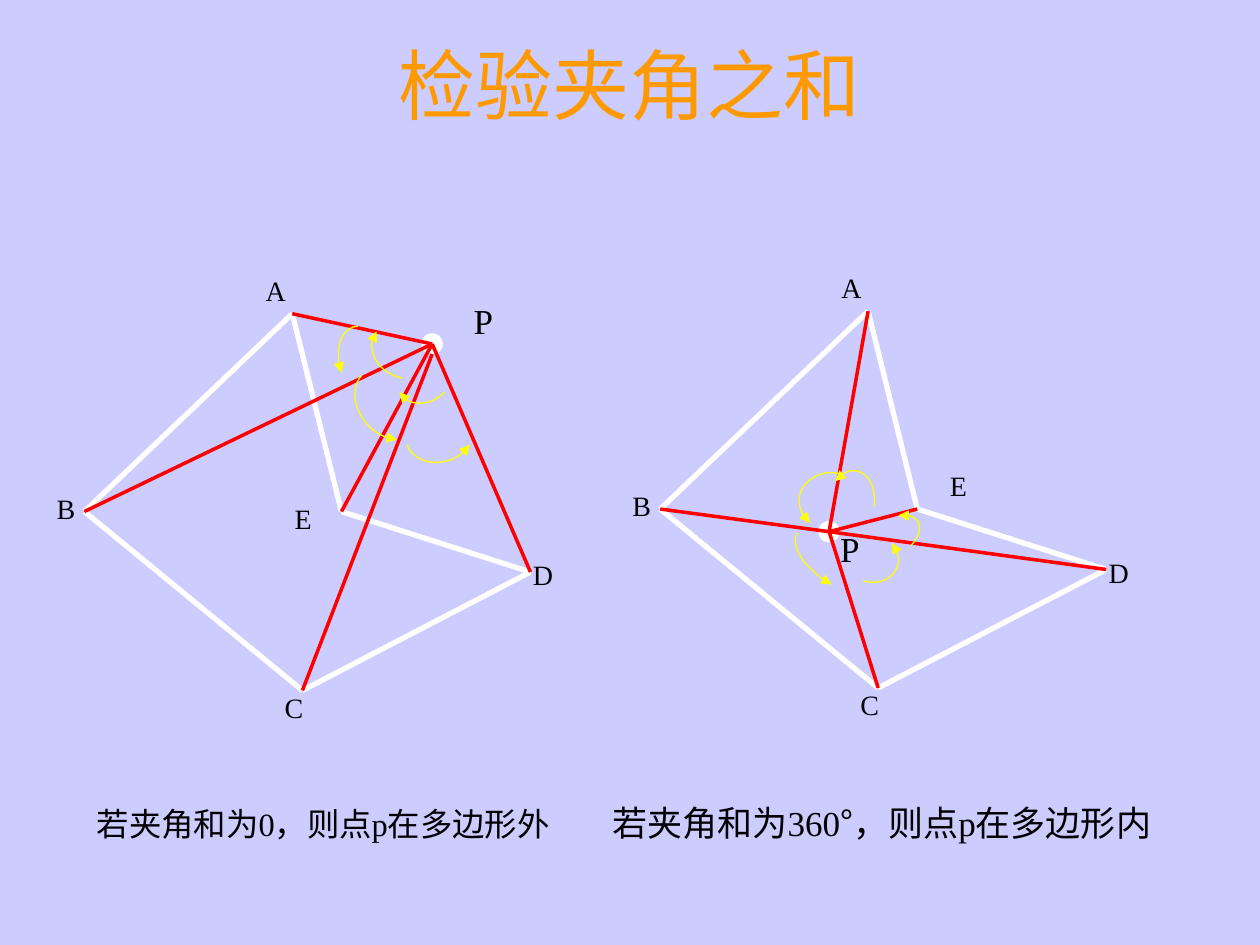
from lxml.etree import SubElement
from pptx import Presentation
from pptx.dml.color import RGBColor
from pptx.enum.shapes import MSO_CONNECTOR, MSO_SHAPE
from pptx.enum.text import MSO_ANCHOR, PP_ALIGN
from pptx.oxml.ns import qn
from pptx.util import Inches, Pt

LAVENDER = RGBColor(0xCC, 0xCC, 0xFF)
ORANGE = RGBColor(0xFF, 0x99, 0x00)
WHITE = RGBColor(0xFF, 0xFF, 0xFF)
RED = RGBColor(0xFF, 0x00, 0x00)
YELLOW = RGBColor(0xFF, 0xFF, 0x00)
BLACK = RGBColor(0x00, 0x00, 0x00)

# The slide is a grid of 100 columns by 75 rows of square cells
CELL = Inches(0.1)
CURVE_STEPS = 10


def add_text(shapes, text, left, top, width, height, size, color=BLACK,
             align=PP_ALIGN.LEFT, anchor=MSO_ANCHOR.TOP, spacing=None):
    box = shapes.add_textbox(*(round(n * CELL) for n in (left, top, width, height)))
    frame = box.text_frame
    frame.word_wrap = True
    frame.vertical_anchor = anchor
    paragraph = frame.paragraphs[0]
    paragraph.alignment = align
    paragraph.line_spacing = spacing
    for piece in filter(None, text.partition("°")):
        run = paragraph.add_run()
        run.text = piece
        run.font.name = "Noto Sans CJK SC" if piece == "°" else "Times New Roman"
        run.font.size = Pt(size)
        run.font.color.rgb = color


def add_line(shapes, start, end, color, width):
    line = shapes.add_connector(MSO_CONNECTOR.STRAIGHT,
                                *(round(n * CELL) for n in (*start, *end)))
    line.line.color.rgb = color
    line.line.width = Pt(width)
    SubElement(line.element.spPr, qn("a:effectLst"))


prs = Presentation()
prs.slide_width, prs.slide_height = 100 * CELL, 75 * CELL
slide = prs.slides.add_slide(prs.slide_layouts[6])
slide.background.fill.solid()
slide.background.fill.fore_color.rgb = LAVENDER

# Title and captions
add_text(slide.shapes, "检验夹角之和", 7.5, 2.5, 85, 8.3, 44, ORANGE,
         PP_ALIGN.CENTER, MSO_ANCHOR.MIDDLE)
add_text(slide.shapes, "若夹角和为0，则点p在多边形外", 6.7, 63.3, 42.9, 5.6, 18.5)
add_text(slide.shapes, "若夹角和为360°，则点p在多边形内", 47.6, 63.5, 48.8, 5.6, 20,
         spacing=0.9)

# Polygon shared by both figures, and the corners of its labels
polygon = {"A": (23.2, 24.9), "B": (6.7, 40.6), "C": (24, 54.8),
           "D": (42.1, 45.4), "E": (27.1, 40.6)}
label_corners = {"A": (20.1, 21.2), "B": (3.5, 38.5), "C": (21.6, 54.3),
                 "D": (41.3, 43.8)}

# Each angle arc is two joined Bezier curves, ending at its arrowhead
outside = {
    "shift": (0, 0), "p": (34.3, 27.3), "ray_drop": {"C": 0.8},
    "e_label": (22.4, 39.3), "p_label": (36.6, 23.3),
    "arcs": [
        [(28.4, 25.9), (27.8, 25.9), (27.3, 26.3), (27, 27.1),
         (26.8, 27.9), (26.8, 28.8), (27.1, 29.6)],
        [(28.7, 29.8), (28, 30.6), (28, 31.8), (28.6, 32.9),
         (29.2, 34), (30.3, 34.8), (31.5, 34.9)],
        [(32.3, 35.3), (32.6, 36.1), (33.5, 36.7), (34.6, 36.7),
         (35.7, 36.7), (36.7, 36.2), (37.3, 35.3)],
        [(35.3, 31.1), (34.9, 31.6), (34.1, 32), (33.3, 32),
         (32.6, 32), (31.9, 31.7), (31.7, 31.1)],
        [(31.9, 30), (31, 29.8), (30.2, 29.3), (29.8, 28.5),
         (29.4, 27.7), (29.4, 26.9), (29.9, 26.3)],
    ],
}
inside = {
    "shift": (45.7, -0.2), "p": (65.8, 42.2), "ray_drop": {},
    "e_label": (74.4, 36.7), "p_label": (65.7, 41.4),
    "arcs": [
        [(66.6, 37.6), (65.5, 37.3), (64.3, 37.8), (63.7, 38.7),
         (63.2, 39.6), (63.4, 40.8), (64.3, 41.5)],
        [(63.3, 42.3), (63, 42.7), (63.1, 43.4), (63.6, 44.3),
         (64.2, 45.1), (65.1, 45.9), (66, 46.4)],
        [(68.5, 46.1), (69.5, 46.4), (70.5, 46.1), (71, 45.4),
         (71.5, 44.7), (71.4, 43.8), (70.8, 43.1)],
        [(72.3, 43.3), (72.9, 42.7), (73.1, 42), (72.9, 41.5),
         (72.7, 41), (72, 40.8), (71.3, 40.9)],
        [(69.4, 40.2), (69.5, 39.1), (69.2, 38), (68.5, 37.6),
         (67.8, 37.1), (66.9, 37.4), (66.3, 38.2)],
    ],
}

for figure in (outside, inside):
    shapes = slide.shapes.add_group_shape().shapes
    dx, dy = figure["shift"]
    vertices = {name: (x + dx, y + dy) for name, (x, y) in polygon.items()}
    px, py = figure["p"]

    # Polygon edges
    corners = list(vertices.values())
    for start, end in zip(corners, corners[1:] + corners[:1]):
        add_line(shapes, start, end, WHITE, 3)

    # Test point P
    point = shapes.add_shape(MSO_SHAPE.OVAL, round((px - 0.8) * CELL),
                             round((py - 0.8) * CELL), *[round(1.6 * CELL)] * 2)
    point.shadow.inherit = False
    point.fill.solid()
    point.fill.fore_color.rgb = WHITE
    point.line.color.rgb = WHITE
    point.line.width = Pt(0.75)

    # Rays from P to the vertices
    for name, vertex in vertices.items():
        add_line(shapes, (px, py + figure["ray_drop"].get(name, 0)), vertex, RED, 2)

    # Angle arcs
    for controls in figure["arcs"]:
        curve = [controls[0]]
        for first in (0, 3):
            for step in range(1, CURVE_STEPS + 1):
                t = step / CURVE_STEPS
                weights = ((1 - t) ** 3, 3 * t * (1 - t) ** 2, 3 * t * t * (1 - t), t ** 3)
                curve.append([sum(w * c[axis] for w, c in
                                  zip(weights, controls[first:first + 4]))
                              for axis in (0, 1)])
        curve = [(round(x * CELL), round(y * CELL)) for x, y in curve]
        builder = shapes.build_freeform(*curve[0])
        builder.add_line_segments(curve[1:], close=False)
        arc = builder.convert_to_shape()
        arc.shadow.inherit = False
        arc.fill.background()
        arc.line.color.rgb = YELLOW
        arc.line.width = Pt(0.75)
        SubElement(arc.element.spPr.find(qn("a:ln")), qn("a:tailEnd"), type="triangle")

    # Vertex labels
    for name, (x, y) in label_corners.items():
        add_text(shapes, name, x + dx, y + dy, 7.1, 3.7, 16)
    add_text(shapes, "E", *figure["e_label"], 7.1, 3.7, 16)
    add_text(shapes, "P", *figure["p_label"], 7.1, 4.4, 20)

prs.save("out.pptx")
